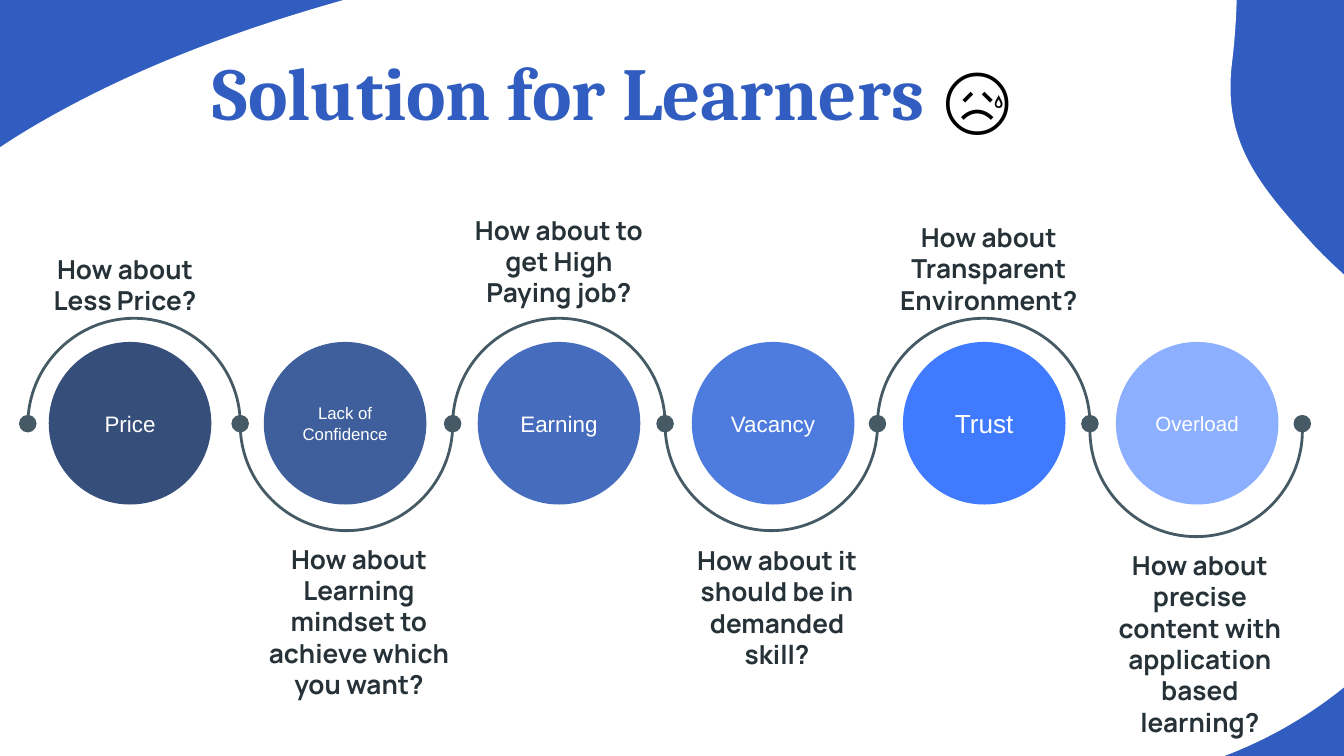
"""Build the "Solution for Learners" slide: a wave of six learner problems with their solutions."""
from itertools import chain

from lxml.etree import SubElement
from pptx import Presentation
from pptx.dml.color import RGBColor
from pptx.enum.shapes import MSO_SHAPE
from pptx.enum.text import MSO_ANCHOR, PP_ALIGN
from pptx.oxml.ns import qn
from pptx.util import Pt

COLORS = {"blue": "305DBF", "white": "FFFFFF", "slate": "455A64", "ink": "263238", "black": "000000",
          "navy": "364F7A", "denim": "3E5E9C", "cobalt": "466DBD", "azure": "4E7BDE",
          "bright": "407BFF", "pale": "8CB0FF"}

STEPS = [
    ("Price", 12, "navy", 26.1, "How about Less Price?", (10.1, 128.6, 52.6)),
    ("Lack of Confidence", 9, "denim", 141.3,
     "How about Learning mindset to achieve which you want?", (135.4, 283.7, 106.6)),
    ("Earning", 12, "cobalt", 255.9, "How about to get High Paying job?", (242.5, 107.5, 67.7)),
    ("Vacancy", 12, "azure", 370.6, "How about it should be in demanded skill?", (359.4, 284.4, 82.8)),
    ("Trust", 14, "bright", 483.7, "How about Transparent Environment?", (472.8, 111.4, 61.9)),
    ("Overload", 11, "pale", 597.8,
     "How about precise content with application based learning?", (585.9, 287.1, 108.7)),
]

BLOB_START = (580, -176)
BLOB_CURVES = [
    ((555, -186), (523, -190), (481, -183)),
    ((414, -171), (364, -118), (328, -66)),
    ((297, -20), (238, -14), (191.5, -2)),
    ((134, 13.7), (75.6, 34.6), (23, 64.8)),
    ((-85.7, 126.7), (-114.5, 209.5), (-105.8, 314)),
    ((-103, 345), (-96.5, 394.6), (-40.3, 450.7)),
    ((-18.7, 471.6), (5, 487.4), (30.2, 498.2)),
    ((95.8, 524.9), (175, 519.8), (264.2, 489.6)),
    ((293, 480.2), (319.7, 466.6), (347, 455.8)),
    ((375.8, 443.5), (406.8, 435.6), (437.8, 431.3)),
    ((509, 421.2), (584.6, 430.6), (653, 406.1)),
    ((689, 393.1), (722.2, 370.8), (747.4, 342)),
    ((779, 305.3), (788.4, 256.3), (770.4, 211.7)),
    ((753.1, 169.9), (728.6, 157.7), (704.2, 131.8)),
    ((674.6, 99.4), (654.5, 76.3), (660.2, 32.4)),
    ((666.7, -22.3), (666.7, -139.7), BLOB_START),
]

CIRCLE_TOP, CIRCLE_SIZE = 183.2, 87.1
WAVE_LEFT, WAVE_STEP, WAVE_Y, LAST_WAVE_Y = 14.9, 113.8, 227.4, 230.6
DOT_Y, DOT_SIZE = 227, 9.4
INSET, ROUNDNESS = 7.2, 0.55


def rgb(color):
    return RGBColor.from_string(COLORS[color])


def add_curve(slide, start, curves, close):
    builder = slide.shapes.build_freeform(*map(Pt, start))
    builder.add_line_segments([(Pt(x), Pt(y)) for x, y in chain(*curves)], close=close)
    curve = builder.convert_to_shape()
    curve.shadow.inherit = False
    for outline in curve.element.iter(qn("a:path")):
        lines = outline.findall(qn("a:lnTo"))
        for first in range(0, 3 * len(curves), 3):
            bezier = SubElement(outline, qn("a:cubicBezTo"))
            for line in lines[first:first + 3]:
                bezier.append(line[0])
        for line in lines:
            outline.remove(line)
        for end in outline.findall(qn("a:close")):
            outline.append(end)
    return curve


def paint(shape, color):
    shape.shadow.inherit = False
    shape.fill.solid()
    shape.fill.fore_color.rgb = rgb(color)
    shape.line.fill.background()


def add_ellipse(slide, left, top, size, color):
    ellipse = slide.shapes.add_shape(MSO_SHAPE.OVAL, Pt(left), Pt(top), Pt(size), Pt(size))
    paint(ellipse, color)
    return ellipse


def add_arc(slide, left, middle, direction):
    radius = WAVE_STEP / 2
    center, right = left + radius, left + WAVE_STEP
    peak = middle + direction * radius
    shoulder = middle + direction * radius * ROUNDNESS
    reach = radius * ROUNDNESS
    arc = add_curve(slide, (left, middle), [
        ((left, shoulder), (center - reach, peak), (center, peak)),
        ((center + reach, peak), (right, shoulder), (right, middle)),
    ], close=False)
    arc.fill.background()
    arc.line.color.rgb = rgb("slate")
    arc.line.width = Pt(1.5)


def write(shape, text, size, font, color, bold=False, align=PP_ALIGN.CENTER,
          anchor=MSO_ANCHOR.TOP, insets=(INSET, INSET)):
    frame = shape.text_frame
    frame.word_wrap = True
    frame.vertical_anchor = anchor
    frame.margin_left = frame.margin_right = Pt(insets[0])
    frame.margin_top = frame.margin_bottom = Pt(insets[1])
    paragraph = frame.paragraphs[0]
    paragraph.alignment = align
    run = paragraph.add_run()
    run.text = text
    run.font.size = Pt(size)
    run.font.name = font
    run.font.bold = bold
    run.font.color.rgb = rgb(color)


def add_text(slide, box, *args, **kwargs):
    write(slide.shapes.add_textbox(*map(Pt, box)), *args, **kwargs)


def main():
    deck = Presentation()
    deck.slide_width, deck.slide_height = Pt(720), Pt(405)
    slide = deck.slides.add_slide(deck.slide_layouts[6])
    slide.background.fill.solid()
    slide.background.fill.fore_color.rgb = rgb("blue")
    paint(add_curve(slide, BLOB_START, BLOB_CURVES, close=True), "white")

    for index, (problem, size, fill, left, solution, (text_left, text_top, height)) in enumerate(STEPS):
        circle = add_ellipse(slide, left, CIRCLE_TOP, CIRCLE_SIZE, fill)
        write(circle, problem, size, "Arial", "white", anchor=MSO_ANCHOR.MIDDLE)
        middle = LAST_WAVE_Y if index == len(STEPS) - 1 else WAVE_Y
        add_arc(slide, WAVE_LEFT + index * WAVE_STEP, middle, 1 if index % 2 else -1)
        add_text(slide, (text_left, text_top, WAVE_STEP, height), solution, 14, "Manrope", "ink", bold=True)

    for index in range(len(STEPS) + 1):
        add_ellipse(slide, WAVE_LEFT + index * WAVE_STEP - DOT_SIZE / 2,
                    DOT_Y - DOT_SIZE / 2, DOT_SIZE, "slate")

    add_text(slide, (106.7, 14.7, 450.7, 67.7), "Solution for Learners", 40, "Cambria", "blue",
             bold=True, align=PP_ALIGN.LEFT, anchor=MSO_ANCHOR.MIDDLE)
    add_text(slide, (498.2, 23.8, 72, 55.4), "😥", 40, "Calibri", "black",
             align=PP_ALIGN.LEFT, insets=(7.2, 3.6))
    deck.save("out.pptx")


if __name__ == "__main__":
    main()
